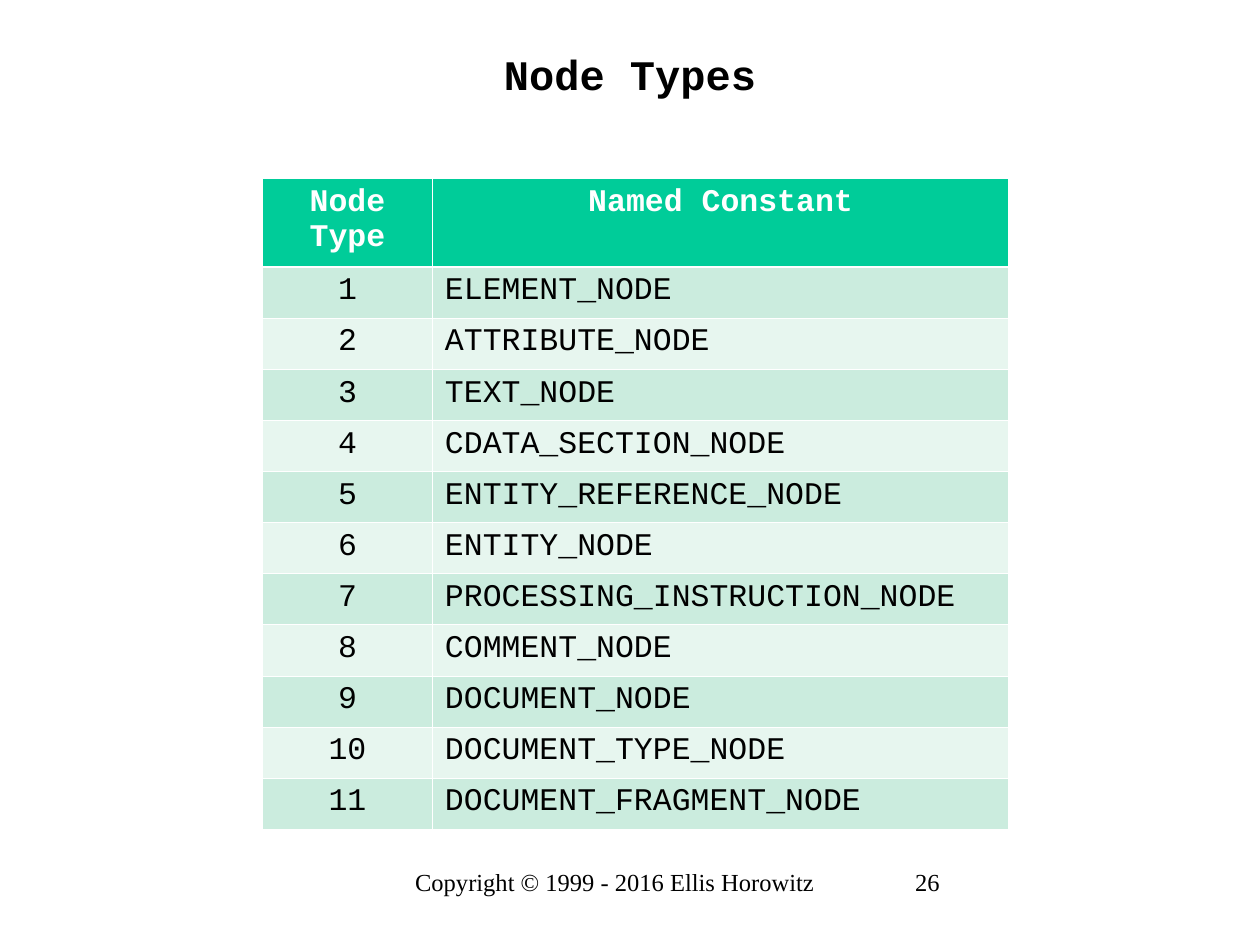
from dataclasses import dataclass

from lxml import etree
from pptx import Presentation
from pptx.dml.color import RGBColor
from pptx.enum import text
from pptx.oxml import ns
from pptx.util import Cm, Pt

CENTER = text.PP_ALIGN.CENTER
LEFT = text.PP_ALIGN.LEFT
JUSTIFY = text.PP_ALIGN.JUSTIFY
TOP = text.MSO_ANCHOR.TOP
MIDDLE = text.MSO_ANCHOR.MIDDLE

NODE_CONSTANTS = [
    "ELEMENT_NODE",
    "ATTRIBUTE_NODE",
    "TEXT_NODE",
    "CDATA_SECTION_NODE",
    "ENTITY_REFERENCE_NODE",
    "ENTITY_NODE",
    "PROCESSING_INSTRUCTION_NODE",
    "COMMENT_NODE",
    "DOCUMENT_NODE",
    "DOCUMENT_TYPE_NODE",
    "DOCUMENT_FRAGMENT_NODE",
]


@dataclass(frozen=True)
class Theme:
    ink: str = "000000"
    paper: str = "FFFFFF"
    header: str = "00CC99"
    bands: tuple = ("CBECDE", "E7F6EF")
    code_font: str = "Courier New"
    footer_font: str = "Times New Roman"
    title_size: int = 24
    table_size: int = 18
    footer_size: int = 14
    thin: float = 0.45
    thick: float = 1.47


class SlideBuilder:
    """Holds the theme and the slide being filled."""

    def __init__(self, slide, theme):
        self.slide = slide
        self.theme = theme

    def set_text(self, tf, content, font, size, color, align, bold=False):
        p = tf.paragraphs[0]
        p.text = content
        p.alignment = align
        p.font.name = font
        p.font.size = Pt(size)
        p.font.bold = bold
        p.font.color.rgb = RGBColor.from_string(color)

    def text_box(self, content, box, font, size, align, anchor=TOP, bold=False):
        sp = self.slide.shapes.add_textbox(*(Cm(v) for v in box))
        tf = sp.text_frame
        tf.word_wrap = True
        tf.vertical_anchor = anchor
        self.set_text(tf, content, font, size, self.theme.ink, align, bold)

    def border(self, cell, side, width):
        """Draw one side (L, R, T or B); call in that order, before the fill."""
        tc_pr = cell._tc.get_or_add_tcPr()
        ln = etree.SubElement(tc_pr, ns.qn(f"a:ln{side}"), w=str(int(Pt(width))))
        fill = etree.SubElement(ln, ns.qn("a:solidFill"))
        etree.SubElement(fill, ns.qn("a:srgbClr"), val=self.theme.paper)

    def cell(self, cell, content, row, align):
        t = self.theme
        is_header = row == 0
        widths = {
            "L": t.thin,
            "R": t.thin,
            "T": t.thick if row == 1 else t.thin,
            "B": t.thick if is_header else t.thin,
        }
        for side, width in widths.items():
            self.border(cell, side, width)
        fill = t.header if is_header else t.bands[(row - 1) % 2]
        cell.fill.solid()
        cell.fill.fore_color.rgb = RGBColor.from_string(fill)
        cell.margin_left = cell.margin_right = Cm(0.25)
        cell.margin_top = cell.margin_bottom = Cm(0.13)
        self.set_text(cell.text_frame, content, t.code_font, t.table_size,
                      t.paper if is_header else t.ink, align, is_header)

    def table(self, rows, left, top, col_widths, header_height, row_height):
        heights = [header_height] + [row_height] * (len(rows) - 1)
        frame = self.slide.shapes.add_table(
            len(rows), len(col_widths), Cm(left), Cm(top),
            Cm(sum(col_widths)), Cm(sum(heights)))
        table = frame.table
        for column, width in zip(table.columns, col_widths):
            column.width = Cm(width)
        for i, (values, height) in enumerate(zip(rows, heights)):
            table.rows[i].height = Cm(height)
            for j, value in enumerate(values):
                align = CENTER if i == 0 or j == 0 else JUSTIFY
                self.cell(table.cell(i, j), value, i, align)


def main():
    prs = Presentation()
    prs.slide_width, prs.slide_height = Cm(25.4), Cm(19.05)
    theme = Theme()
    s = SlideBuilder(prs.slides.add_slide(prs.slide_layouts[6]), theme)

    s.text_box("Node Types", (1.9, 0.64, 21.6, 1.7), theme.code_font,
               theme.title_size, CENTER, MIDDLE, bold=True)
    for content, left, width, align in (
        ("Copyright © 1999 - 2016 Ellis Horowitz", 8.05, 8.69, CENTER),
        ("26", 18.2, 5.28, LEFT),
    ):
        s.text_box(content, (left, 17.35, width, 1.27), theme.footer_font,
                   theme.footer_size, align)

    rows = [("Node Type", "Named Constant")]
    rows += [(str(n), name) for n, name in enumerate(NODE_CONSTANTS, 1)]
    s.table(rows, 5.29, 3.6, (3.43, 11.61), 1.77, 1.03)

    prs.save("out.pptx")


if __name__ == "__main__":
    main()
